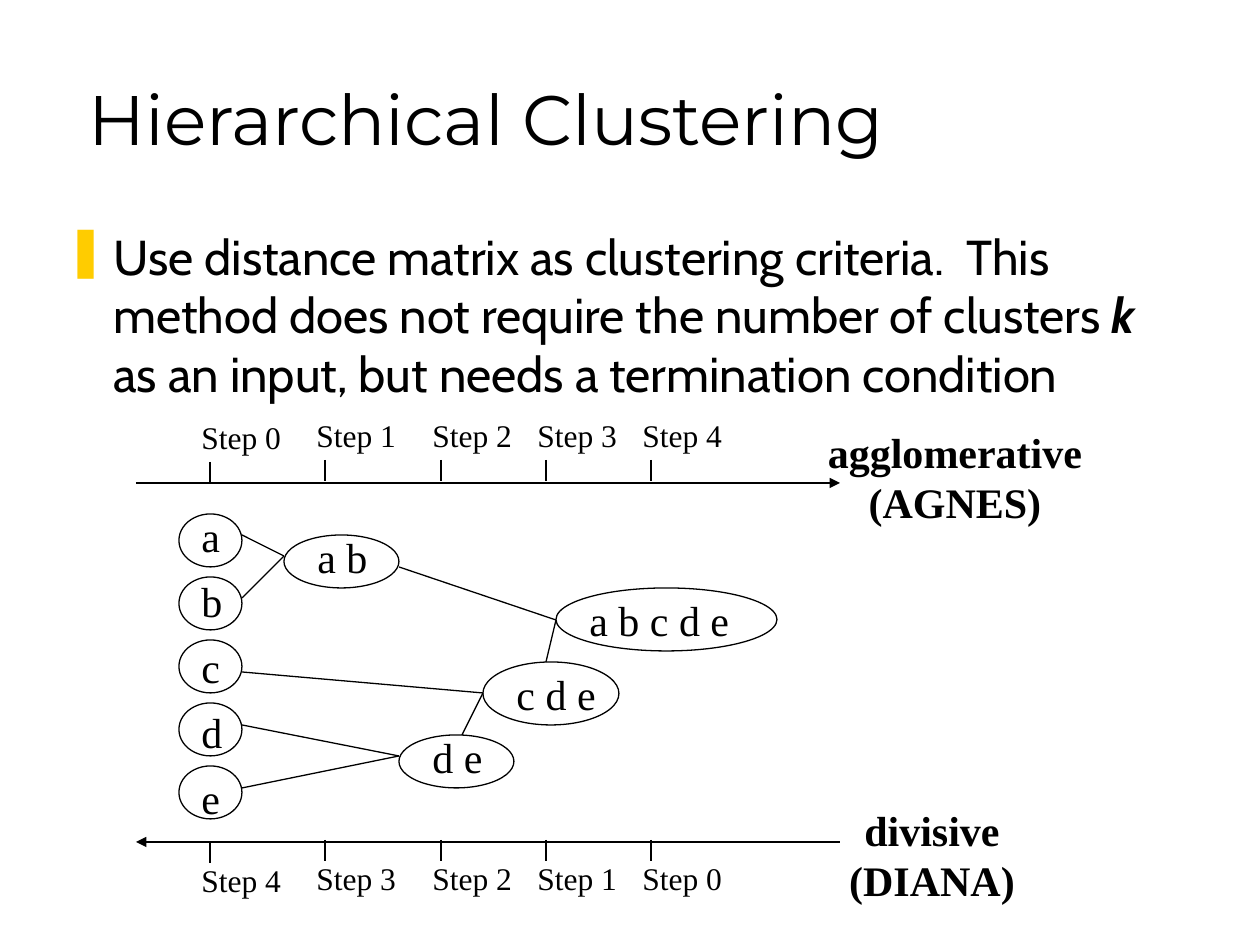
from lxml import etree
from pptx import Presentation
from pptx.dml.color import RGBColor
from pptx.enum.shapes import MSO_CONNECTOR, MSO_SHAPE
from pptx.enum.text import MSO_ANCHOR, MSO_AUTO_SIZE, PP_ALIGN
from pptx.oxml.ns import qn
from pptx.util import Emu, Pt

LINE, OVAL = MSO_CONNECTOR.STRAIGHT, MSO_SHAPE.OVAL
MIDDLE = MSO_ANCHOR.MIDDLE
FIXED, GROW = MSO_AUTO_SIZE.NONE, MSO_AUTO_SIZE.SHAPE_TO_FIT_TEXT
LEFT, CENTER = PP_ALIGN.LEFT, PP_ALIGN.CENTER
SCALE = 914400 // 126
BLACK, GOLD = "000000", "FFCC00"
SERIF = "Times New Roman"

TITLE = "Hierarchical Clustering"
BODY = [
    ("Use distance matrix as clustering criteria.  This method does not "
     "require the number of clusters ", False),
    ("k", True),
    (" as an input, but needs a termination condition", False),
]
TICKS = [210, 325, 441, 546, 651]
AXIS = (136, 840)
# axis y, tick top, label top, step numbers, end that has the arrowhead
SCALES = [
    (483, 460, 410, [0, 1, 2, 3, 4], "tailEnd"),
    (842, 840, 853, [4, 3, 2, 1, 0], "headEnd"),
]
ITEMS = "abcde"
# text, text box (left, top, width), oval (left, top, width, height)
MERGED = [
    ("a b", (305, 525, 76), (284, 535, 115, 53)),
    ("d e", (420, 725, 76), (399, 735, 115, 53)),
    ("c d e", (504, 662, 105), (483, 662, 136, 63)),
    ("a b c d e", (577, 588, 165), (556, 588, 221, 63)),
]
LINKS = [
    (242, 535, 284, 556), (242, 598, 284, 556),
    (242, 725, 399, 756), (242, 788, 399, 756),
    (242, 672, 483, 693), (462, 735, 483, 693),
    (399, 567, 556, 620), (546, 662, 556, 620),
]
# lines, left, top, width
METHODS = [
    (("agglomerative", "(AGNES)"), 815, 420, 280),
    (("divisive", "(DIANA)"), 832, 798, 200),
]


def px(n):
    return Emu(n * SCALE)


def color(code):
    return RGBColor.from_string(code)


def style(par, size, face, bold=None):
    font = par.font
    font.size, font.name, font.bold = Pt(size), face, bold
    font.color.rgb = color(BLACK)


def text(lines, box, size, face=SERIF, bold=None, wrap=False, align=LEFT,
         fit=GROW):
    frame = slide.shapes.add_textbox(*map(px, box)).text_frame
    frame.word_wrap, frame.auto_size = wrap, fit
    frame.text = "\n".join(lines)
    for par in frame.paragraphs:
        par.alignment = align
        style(par, size, face, bold)
    return frame


def line(x1, y1, x2, y2, width=0.75, arrow=None):
    """Draw a line; arrow names the end element that gets a triangle."""
    link = slide.shapes.add_connector(LINE, *map(px, (x1, y1, x2, y2)))
    link.line.color.rgb = color(BLACK)
    link.line.width = Pt(width)
    if arrow:
        etree.SubElement(link.line._get_or_add_ln(), qn(f"a:{arrow}"),
                         type="triangle")
    etree.SubElement(link._element.spPr, qn("a:effectLst"))


def oval(*box):
    shape = slide.shapes.add_shape(OVAL, *map(px, box))
    shape.shadow.inherit = False
    shape.fill.background()
    shape.line.color.rgb = color(BLACK)
    shape.line.width = Pt(0.75)


def bullet(par, mark, code, indent):
    props = par._p.get_or_add_pPr()
    props.set("marL", str(px(indent)))
    props.set("indent", str(-px(indent)))
    fill = etree.SubElement(props, qn("a:buClr"))
    etree.SubElement(fill, qn("a:srgbClr"), val=code)
    etree.SubElement(props, qn("a:buChar"), char=mark)
    # Default run properties must come after the bullet elements.
    props.append(props.find(qn("a:defRPr")))


deck = Presentation()
deck.slide_width, deck.slide_height = px(1260), px(945)
slide = deck.slides.add_slide(deck.slide_layouts[6])

title = text([TITLE], (76, 60, 1003, 115), 40, "Montserrat", wrap=True,
             fit=FIXED)
title.vertical_anchor = MIDDLE

body = text([""], (53, 220, 1144, 672), 28, "Cabin", wrap=True, fit=FIXED)
point = body.paragraphs[0]
for words, strong in BODY:
    run = point.add_run()
    run.text = words
    if strong:
        run.font.bold = run.font.italic = True
bullet(point, "❚", GOLD, 48)

for axis, top, label, steps, arrow in SCALES:
    line(AXIS[0], axis, AXIS[1], axis, 1.5, arrow)
    for i, (x, step) in enumerate(zip(TICKS, steps)):
        drop = 2 if i == 0 else 0
        line(x, top + drop, x, top + drop + 21)
        text([f"Step {step}"], (x - 21, label + drop, 105, 50), 18, wrap=True)

for i, item in enumerate(ITEMS):
    text([item], (189, 504 + 131 * i // 2, 45, 63), 24)
    oval(179, 514 + 63 * i, 63, 53)

for words, place, ring in MERGED:
    text([words], (*place, 63), 24)
    oval(*ring)

for link in LINKS:
    line(*link)

for lines, left, top, width in METHODS:
    text(lines, (left, top, width, 113), 24, bold=True, align=CENTER)

deck.save("out.pptx")
